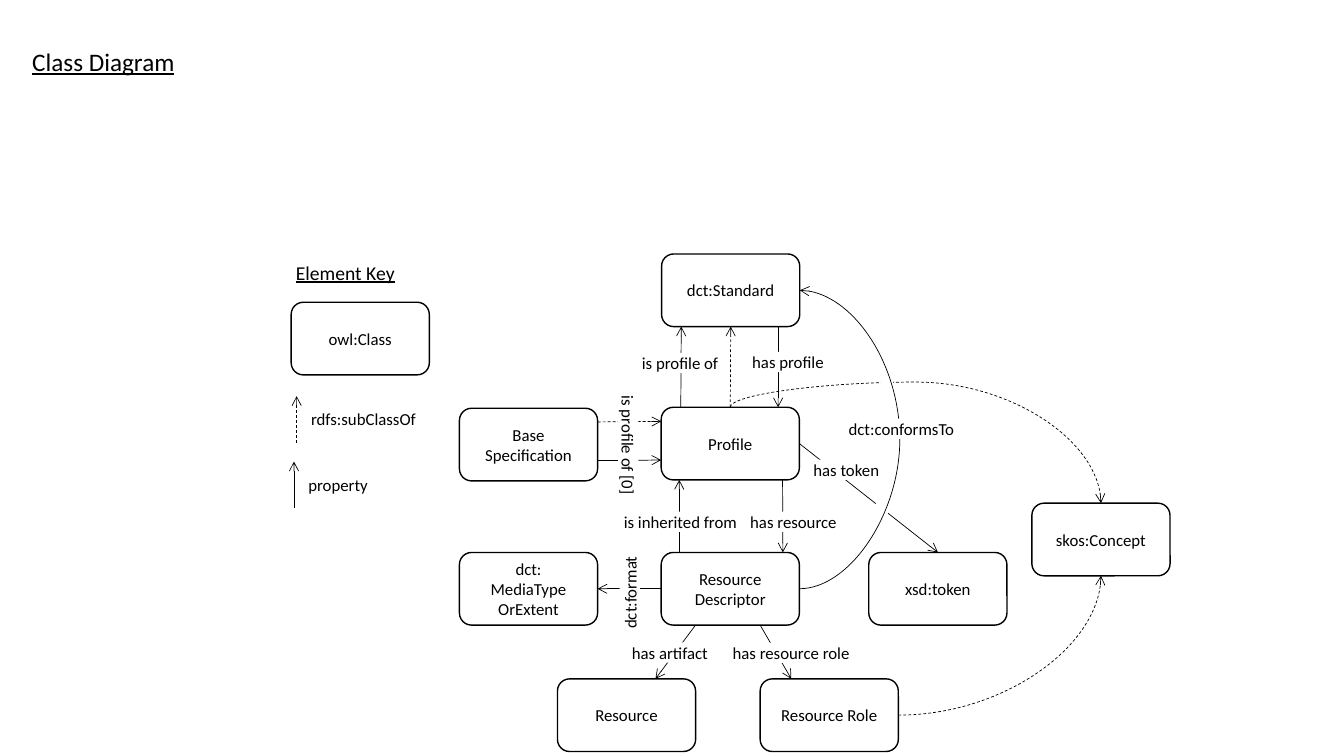
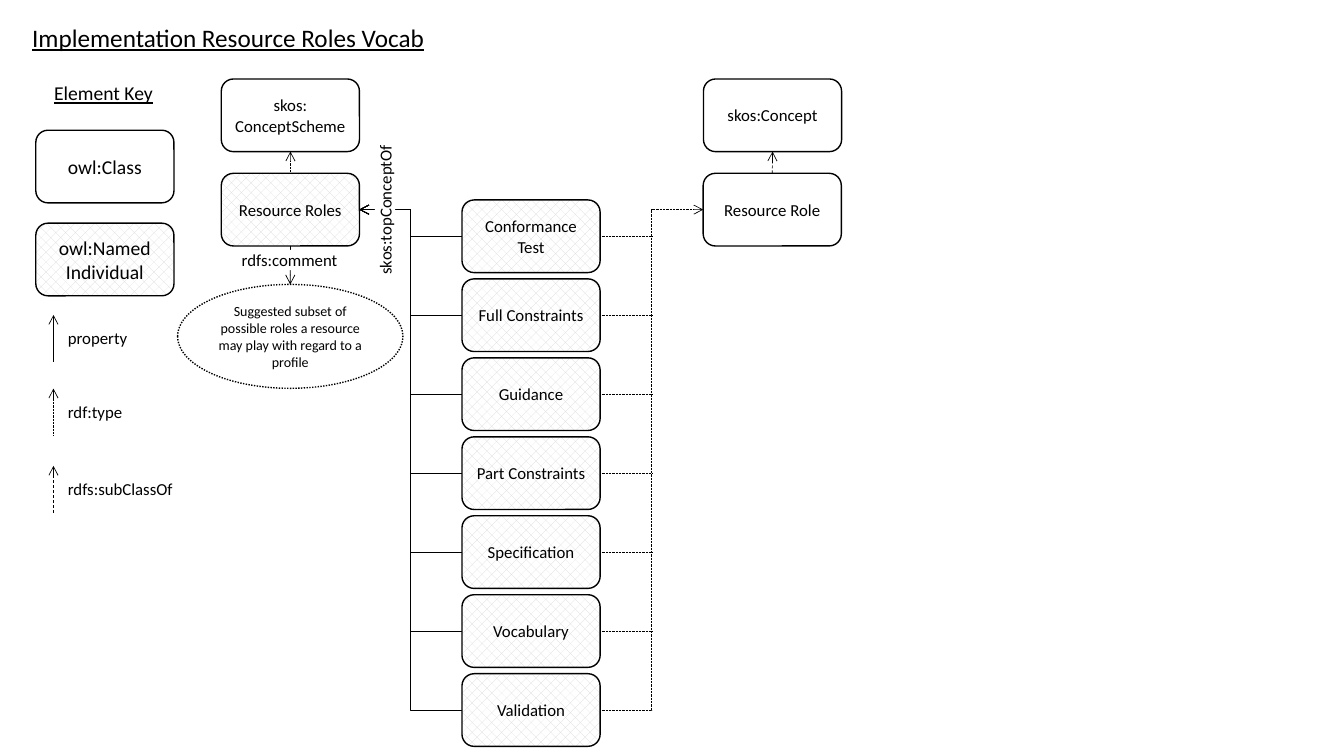
from lxml.etree import SubElement
from pptx import Presentation
from pptx.dml.color import RGBColor
from pptx.enum.dml import MSO_LINE, MSO_PATTERN
from pptx.enum.shapes import MSO_CONNECTOR as CONN, MSO_SHAPE as SHAPE
from pptx.enum.text import MSO_ANCHOR as ANCHOR, MSO_AUTO_SIZE as AUTO, PP_ALIGN as ALIGN
from pptx.oxml.ns import qn
from pptx.util import Pt

INK, PAPER, HATCH = "000000", "FFFFFF", "D9D9D9"
FONT = "Calibri"
BOX_W, BOX_H = 98.7, 51.9
DASH, DOT = MSO_LINE.DASH, MSO_LINE.ROUND_DOT
TOP, LEFT, BOTTOM, RIGHT = range(4)


def rgb(value):
    return RGBColor.from_string(value)


class Diagram:
    def __init__(self, prs):
        self.prs = prs
        self.s = None

    def add_slide(self, title, y, w):
        self.s = self.prs.slides.add_slide(self.prs.slide_layouts[5])
        sp = self.s.shapes.title
        self.place(sp, 15.8, y, w, 29)
        self.fill_text(sp, title, 18, underline=True, wrap=False)

    def place(self, sp, x, y, w, h):
        sp.left, sp.top, sp.width, sp.height = Pt(x), Pt(y), Pt(w), Pt(h)

    def fill_text(self, sp, text, size=12, align=ALIGN.LEFT, anchor=ANCHOR.TOP,
                  underline=None, wrap=True, inset=None):
        tf = sp.text_frame
        tf.word_wrap = wrap
        tf.auto_size = AUTO.NONE if wrap else AUTO.SHAPE_TO_FIT_TEXT
        tf.vertical_anchor = anchor
        if inset is not None:
            tf.margin_left = tf.margin_right = Pt(inset)
            tf.margin_top = tf.margin_bottom = 0
        p = tf.paragraphs[0]
        p.alignment = align
        for i, line in enumerate(text.split("\n")):
            if i:
                p.add_line_break()
            r = p.add_run()
            r.text = line
            r.font.name, r.font.size = FONT, Pt(size)
            r.font.underline = underline
            r.font.color.rgb = rgb(INK)

    def text(self, text, x, y, w, h, size=12, underline=None):
        sp = self.s.shapes.add_textbox(Pt(x), Pt(y), Pt(w), Pt(h))
        self.fill_text(sp, text, size, underline=underline, wrap=False)

    def shape(self, kind, x, y, w, h):
        sp = self.s.shapes.add_shape(kind, Pt(x), Pt(y), Pt(w), Pt(h))
        sp.shadow.inherit = False
        return sp

    def outline(self, sp):
        sp.fill.background()
        sp.line.color.rgb = rgb(INK)
        sp.line.width = Pt(1)

    def box(self, text, x, y, size=12, hatched=False):
        sp = self.shape(SHAPE.ROUNDED_RECTANGLE, x, y, BOX_W, BOX_H)
        self.outline(sp)
        if hatched:
            sp.fill.patterned()
            sp.fill.pattern = MSO_PATTERN.PERCENT_30
            sp.fill.fore_color.rgb = rgb(HATCH)
            sp.fill.back_color.rgb = rgb(PAPER)
        self.fill_text(sp, text, size, ALIGN.CENTER, ANCHOR.MIDDLE)
        return sp

    def comment(self, text, x, y, w, h):
        sp = self.shape(SHAPE.OVAL, x, y, w, h)
        self.outline(sp)
        sp.line.dash_style = DOT
        self.fill_text(sp, text, 10, ALIGN.CENTER, ANCHOR.MIDDLE, inset=0)
        return sp

    def mask(self, x, y, w, h=14.5):
        """White patch that interrupts the lines beneath it."""
        sp = self.shape(SHAPE.RECTANGLE, x, y, w, h)
        sp.fill.solid()
        sp.fill.fore_color.rgb = rgb(PAPER)
        sp.line.fill.background()
        return sp

    def label(self, text, x, y, w, rotation=0, align=ALIGN.LEFT):
        sp = self.mask(x, y, w)
        sp.rotation = rotation
        self.fill_text(sp, text, align=align, wrap=False, inset=0)

    def link(self, start, end, dash=None, kind=CONN.STRAIGHT, arrow=True):
        """Join two ends, each either (shape, side) or (x, y)."""
        c = self.s.shapes.add_connector(kind, 0, 0, 0, 0)
        if hasattr(start[0], "shape_id"):
            c.begin_connect(*start)
        else:
            c.begin_x, c.begin_y = map(Pt, start)
        if hasattr(end[0], "shape_id"):
            c.end_connect(*end)
        else:
            c.end_x, c.end_y = map(Pt, end)
        c.line.color.rgb = rgb(INK)
        c.line.width = Pt(0.5)
        if dash:
            c.line.dash_style = dash
        spPr = c._element.spPr
        if arrow:
            SubElement(spPr.find(qn("a:ln")), qn("a:tailEnd"), type="arrow")
        SubElement(spPr, qn("a:effectLst"))
        return c

    def bend(self, c, offset, length):
        """Put a connector's turn at the given offset along its length."""
        guides = c._element.spPr.find(qn("a:prstGeom")).find(qn("a:avLst"))
        value = round(100000 * Pt(offset) / length)
        SubElement(guides, qn("a:gd"), name="adj1", fmla=f"val {value}")

    def leave_upward(self, c, rise):
        """Turn a curve so that it leaves and arrives vertically."""
        w, h = c.width, c.height
        c.left, c.top = c.left + (w - h) // 2, c.top + (h - w) // 2
        c.width, c.height = h, w
        xfrm = c._element.spPr.find(qn("a:xfrm"))
        xfrm.set("rot", str(270 * 60000))
        xfrm.set("flipH", "1")
        self.bend(c, -rise, h)

    def key_heading(self, x, y):
        self.text("Element Key", x, y, 85.7, 24.5, 14, True)

    def key_line(self, text, x, y, w, dash=None):
        self.link((x, y + 33.3), (x, y), dash)
        self.text(text, x + 3.2, y + 5.7, w, 21.8)


def class_diagram(d):
    d.add_slide("Class Diagram", 29.5, 117.4)
    d.key_heading(204.2, 182.5)
    d.box("owl:Class", 208, 215.9)
    d.key_line("rdfs:subClassOf", 211.9, 283, 90, DASH)
    d.key_line("property", 210, 329.7, 57.6)

    standard = d.box("dct:Standard", 472.6, 181.4)
    profile = d.box("Profile", 472.3, 290.9)
    descriptor = d.box("Resource Descriptor", 472.3, 394.6)
    d.box("Base Specification", 328.2, 291.6)
    media = d.box("dct:\nMediaType\nOrExtent", 328.2, 394.6)
    token = d.box("xsd:token", 620.6, 394.6)
    concept = d.box("skos:Concept", 737.1, 359.4)
    d.box("Resource", 398.2, 484.9)
    role = d.box("Resource Role", 543, 484.9)

    d.link((profile, TOP), (standard, BOTTOM), DASH)
    d.link((profile, RIGHT), (token, TOP))
    d.link((descriptor, LEFT), (media, RIGHT))
    for start, end, dash in (
        ((426.9, 301.4), (472.3, 301), DASH),
        ((426.9, 329), (472.3, 328.6), None),
        ((486.3, 290.9), (486.6, 233.3), None),
        ((555.8, 233.3), (555.8, 290.9), None),
        ((485.2, 394.6), (485.2, 342.8), None),
        ((559, 342.8), (559.2, 394.6), None),
        ((496.8, 446.5), (468.2, 484.9), None),
        ((543, 446.5), (565.2, 484.9), None),
    ):
        d.link(start, end, dash)

    c = d.link((profile, TOP), (concept, TOP), DASH, CONN.CURVE)
    d.leave_upward(c, 18)
    c = d.link((role, RIGHT), (concept, BOTTOM), DASH, CONN.CURVE)
    c._element.spPr.find(qn("a:prstGeom")).set("prst", "curvedConnector2")
    d.mask(625.7, 357.8, 8.6)
    d.mask(629.3, 266.4, 8.6)
    c = d.link((descriptor, RIGHT), (standard, RIGHT), kind=CONN.CURVE)
    d.bend(c, 69, c.width)

    for text, x, y, w, rotation in (
        ("is profile of", 458.5, 252, 55.4, 0),
        ("has profile", 537.3, 251.4, 55.4, 0),
        ("is profile of [0]", 413.1, 311, 71.3, 90),
        ("has token", 581, 328.4, 47.5, 0),
        ("dct:conformsTo", 606.2, 299, 76.3, 0),
        ("is inherited from", 445.6, 365.4, 81.4, 0),
        ("has resource", 535.9, 365.5, 62.6, 0),
        ("dct:format", 422.9, 414.9, 54, 270),
        ("has artifact", 451.4, 458.9, 54.7, 0),
        ("has resource role", 523.3, 459, 84.2, 0),
    ):
        d.label(text, x, y, w, rotation)


def roles_vocab(d):
    d.add_slide("Implementation Resource Roles Vocab", 12.3, 298.1)
    d.key_heading(31.5, 54.4)
    d.box("owl:Class", 25.6, 93, 14)
    d.box("owl:Named\nIndividual", 25.6, 159.4, 14, True)
    d.key_line("property", 38.2, 225, 57.6)
    d.key_line("rdf:type", 38.2, 277.6, 53.3, DOT)
    d.key_line("rdfs:subClassOf", 38.2, 332.8, 90, DASH)

    scheme = d.box("skos:\nConceptScheme", 158.1, 56.4)
    roles = d.box("Resource Roles", 158.1, 123.8, hatched=True)
    concept = d.box("skos:Concept", 502.5, 56.4)
    role = d.box("Resource Role", 502.3, 123.8)
    comment = d.comment("Suggested subset of possible roles a resource may play "
                        "with regard to a profile", 126.9, 203.2, 160.9, 74.2)
    d.link((roles, TOP), (scheme, BOTTOM), DOT)
    d.link((role, TOP), (concept, BOTTOM), DASH)
    d.link((roles, BOTTOM), (comment, TOP))
    d.label("rdfs:comment", 172.7, 178.5, 69.1)

    names = ("Conformance Test", "Full Constraints", "Guidance", "Part Constraints",
             "Specification", "Vocabulary", "Validation")
    x, y, pitch = 330, 142.8, 56.4
    trunk = (x + BOX_W + 502.3) / 2
    for i, name in enumerate(names):
        individual = d.box(name, x, y + i * pitch, hatched=True)
        d.link((individual, LEFT), (roles, RIGHT), kind=CONN.ELBOW)
        if name == names[-1]:
            d.link((individual, RIGHT), (role, LEFT), DOT, CONN.ELBOW)
        else:
            middle = y + i * pitch + BOX_H / 2
            d.link((individual, RIGHT), (trunk, middle), DOT, arrow=False)
    d.label("skos:topConceptOf", 219.6, 142.6, 110.9, 270, ALIGN.CENTER)


def main():
    prs = Presentation()
    prs.slide_width, prs.slide_height = Pt(960), Pt(540)
    d = Diagram(prs)
    class_diagram(d)
    roles_vocab(d)
    prs.save("out.pptx")


if __name__ == "__main__":
    main()
